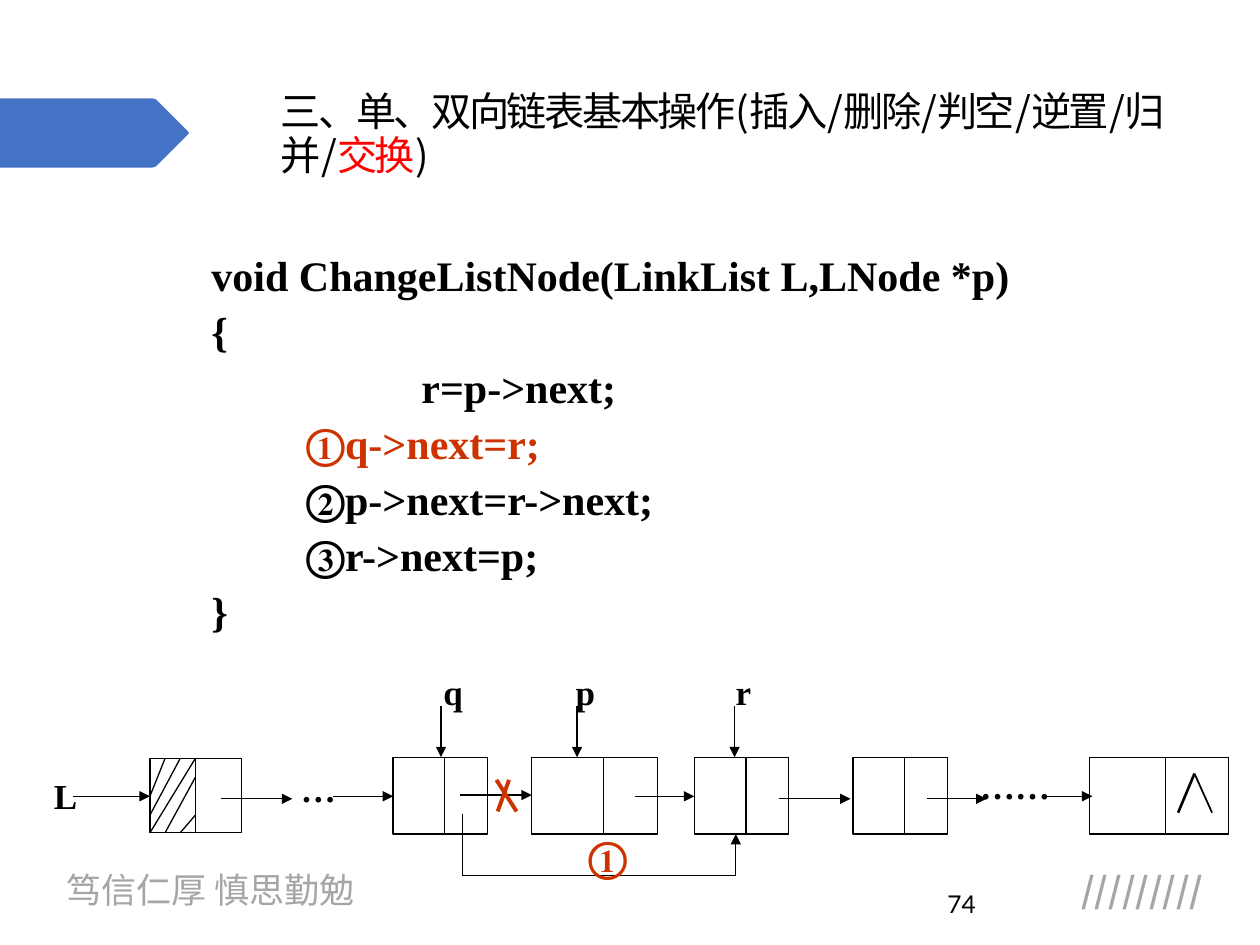
"""Build the slide on swapping two neighbouring nodes of a linked list."""
import pptx
import pptx.dml.color
import pptx.enum.shapes
import pptx.enum.text
import pptx.oxml
import pptx.oxml.ns
import pptx.util
from pptx.util import Inches

BLACK = pptx.dml.color.RGBColor(0x00, 0x00, 0x00)
WHITE = pptx.dml.color.RGBColor(0xFF, 0xFF, 0xFF)
GREY = pptx.dml.color.RGBColor(0xA5, 0xA5, 0xA5)
BLUE = pptx.dml.color.RGBColor(0x44, 0x72, 0xC4)
RED = pptx.dml.color.RGBColor(0xFF, 0x00, 0x00)
BRICK = pptx.dml.color.RGBColor(0xCC, 0x33, 0x00)
SERIF = "Times New Roman"
CHINESE = "Noto Sans CJK SC"
ANCHOR = pptx.enum.text.MSO_ANCHOR
ALIGN = pptx.enum.text.PP_ALIGN


def add_child(parent, tag, **attributes):
    child = pptx.oxml.parse_xml(f"<{tag} {pptx.oxml.ns.nsdecls('a')}/>")
    for key, value in attributes.items():
        child.set(key, str(value))
    parent.append(child)
    return child


def write(paragraph, text, size=20, font=SERIF, color=BLACK, bold=True, spacing=None):
    run = paragraph.add_run()
    run.text = text
    run.font.size = pptx.util.Pt(size)
    run.font.name = font
    run.font.bold = bold
    run.font.color.rgb = color
    properties = run._r.get_or_add_rPr()
    add_child(properties, "a:ea", typeface=font)
    if spacing is not None:
        properties.set("spc", str(int(spacing * 100)))


class ListSlide:
    def __init__(self, slide, line_width=0.75):
        self.slide = slide
        self.shapes = slide.shapes
        self.line_width = line_width

    def title(self, left, top, width, height, parts):
        heading = self.shapes.title
        heading.left, heading.top = Inches(left), Inches(top)
        heading.width, heading.height = Inches(width), Inches(height)
        frame = heading.text_frame
        frame.word_wrap = True
        frame.auto_size = pptx.enum.text.MSO_AUTO_SIZE.NONE
        frame.vertical_anchor = ANCHOR.TOP
        paragraph = frame.paragraphs[0]
        paragraph.alignment = ALIGN.LEFT
        paragraph.line_spacing = 0.9
        for text, color in parts:
            write(paragraph, text, size=23, font=CHINESE, color=color, bold=False, spacing=-1.5)

    def frame(self, left, top, width, height, anchor=ANCHOR.TOP):
        box = self.shapes.add_textbox(Inches(left), Inches(top), Inches(width), Inches(height))
        box.text_frame.word_wrap = True
        box.text_frame.vertical_anchor = anchor
        return box.text_frame

    def label(self, left, top, width, height, text, align=ALIGN.LEFT,
              anchor=ANCHOR.TOP, tabs=(), **style):
        paragraph = self.frame(left, top, width, height, anchor).paragraphs[0]
        if tabs:
            stops = add_child(paragraph._p.get_or_add_pPr(), "a:tabLst")
            for stop in tabs:
                add_child(stops, "a:tab", pos=Inches(stop), algn="l")
        paragraph.alignment = align
        write(paragraph, text, **style)

    def code(self, left, top, width, height, lines):
        frame = self.frame(left, top, width, height)
        for number, (text, color) in enumerate(lines):
            paragraph = frame.add_paragraph() if number else frame.paragraphs[0]
            paragraph.line_spacing = 0.9
            if number:
                paragraph.space_before = pptx.util.Pt(6)
            write(paragraph, text, size=24, color=color)

    def line(self, x1, y1, x2, y2, color=BLACK, width=None, arrow=False):
        connector = self.shapes.add_connector(
            pptx.enum.shapes.MSO_CONNECTOR.STRAIGHT,
            Inches(x1), Inches(y1), Inches(x2), Inches(y2))
        connector.line.color.rgb = color
        connector.line.width = pptx.util.Pt(width or self.line_width)
        if arrow:
            add_child(connector.line._get_or_add_ln(), "a:tailEnd", type="triangle")
        add_child(connector._element.spPr, "a:effectLst")

    def node(self, left, divider, width, top=6.01, height=0.61):
        cell = self.shapes.add_shape(
            pptx.enum.shapes.MSO_SHAPE.RECTANGLE,
            Inches(left), Inches(top), Inches(width), Inches(height))
        cell.shadow.inherit = False
        cell.fill.solid()
        cell.fill.fore_color.rgb = WHITE
        cell.line.color.rgb = BLACK
        cell.line.width = pptx.util.Pt(self.line_width)
        self.line(divider, top, divider, top + height)

    def outline(self, points, color):
        corners = [(Inches(x), Inches(y)) for x, y in points]
        builder = self.shapes.build_freeform(*corners[0])
        builder.add_line_segments(corners[1:], close=True)
        banner = builder.convert_to_shape()
        banner.shadow.inherit = False
        banner.fill.solid()
        banner.fill.fore_color.rgb = color
        banner.line.fill.background()


def main():
    deck = pptx.Presentation()
    deck.slide_width, deck.slide_height = Inches(10), Inches(7.5)
    page = ListSlide(deck.slides.add_slide(deck.slide_layouts[5]))

    page.title(2.13, 0.68, 7.21, 1.4, [
        ("三、单、双向链表基本操作(插入/删除/判空/逆置/归并/", BLACK),
        ("交换", RED), (")", BLACK)])
    page.label(0.43, 6.84, 2.7, 0.44, "笃信仁厚 慎思勤勉", font=CHINESE, color=GREY, bold=False)
    page.label(7.67, 6.84, 1.98, 0.44, "/////////", align=ALIGN.RIGHT, font=CHINESE, color=GREY)
    page.outline([(0, 0.78), (1.21, 0.78), (1.24, 0.79), (1.49, 1.04), (1.5, 1.055),
                  (1.49, 1.07), (1.24, 1.32), (1.21, 1.33), (0, 1.33)], BLUE)

    page.node(1.19, 1.55, 0.73, top=6.02, height=0.59)
    for x1, y1, x2, y2 in [(1.31, 6.02, 1.19, 6.32), (1.43, 6.02, 1.19, 6.47),
                           (1.55, 6.02, 1.19, 6.61), (1.55, 6.17, 1.31, 6.61),
                           (1.55, 6.47, 1.43, 6.61)]:
        page.line(x1, y1, x2, y2)
    for left, divider, width in [(3.12, 3.53, 0.75), (4.22, 4.79, 1), (5.51, 5.92, 0.75),
                                 (6.77, 7.18, 0.75), (8.65, 9.25, 1.1)]:
        page.node(left, divider, width)
    page.line(9.35, 6.45, 9.48, 6.14, width=1.5)
    page.line(9.48, 6.14, 9.62, 6.45, width=1)

    for start, end, y in [(0.58, 1.19, 6.32), (1.75, 2.32, 6.34), (2.64, 3.12, 6.32),
                          (3.65, 4.22, 6.31), (5.04, 5.51, 6.32), (6.18, 6.75, 6.34),
                          (7.36, 7.83, 6.34), (8.28, 8.67, 6.32)]:
        page.line(start, y, end, y, arrow=True)
    for pointer in (3.5, 4.58, 5.83):
        page.line(pointer, 5.6, pointer, 6.01, arrow=True)

    page.label(0.33, 6.1, 0.42, 0.42, "L", align=ALIGN.JUSTIFY)
    page.label(2.29, 6.04, 0.48, 0.33, "…", align=ALIGN.JUSTIFY)
    page.label(7.68, 6.02, 0.82, 0.33, "……", align=ALIGN.JUSTIFY)
    page.label(3.42, 5.27, 3.83, 0.43, "q\tp\tr", tabs=(1.05, 2.32))

    page.line(3.67, 6.95, 3.67, 6.46, width=0.25)
    page.line(3.67, 6.95, 5.84, 6.95)
    page.line(5.84, 6.95, 5.84, 6.62, arrow=True)
    page.line(4.04, 6.19, 3.95, 6.44, color=BRICK, width=2.25)
    page.line(3.94, 6.19, 4.1, 6.44, color=BRICK, width=2.25)
    page.label(4.57, 6.54, 0.54, 0.5, "①", size=24, color=BRICK)

    page.code(1.58, 1.98, 6.93, 3.43, [
        ("void ChangeListNode(LinkList L,LNode *p)", BLACK),
        ("{", BLACK),
        ("　　　　　r=p->next;", BLACK),
        ("\t   ①q->next=r;", BRICK),
        ("\t   ②p->next=r->next;", BLACK),
        ("\t   ③r->next=p;", BLACK),
        ("}", BLACK)])
    page.label(7.42, 6.92, 2.08, 0.5, "74", anchor=ANCHOR.MIDDLE, size=14, font="Lato", bold=False)

    deck.save("out.pptx")


if __name__ == "__main__":
    main()
